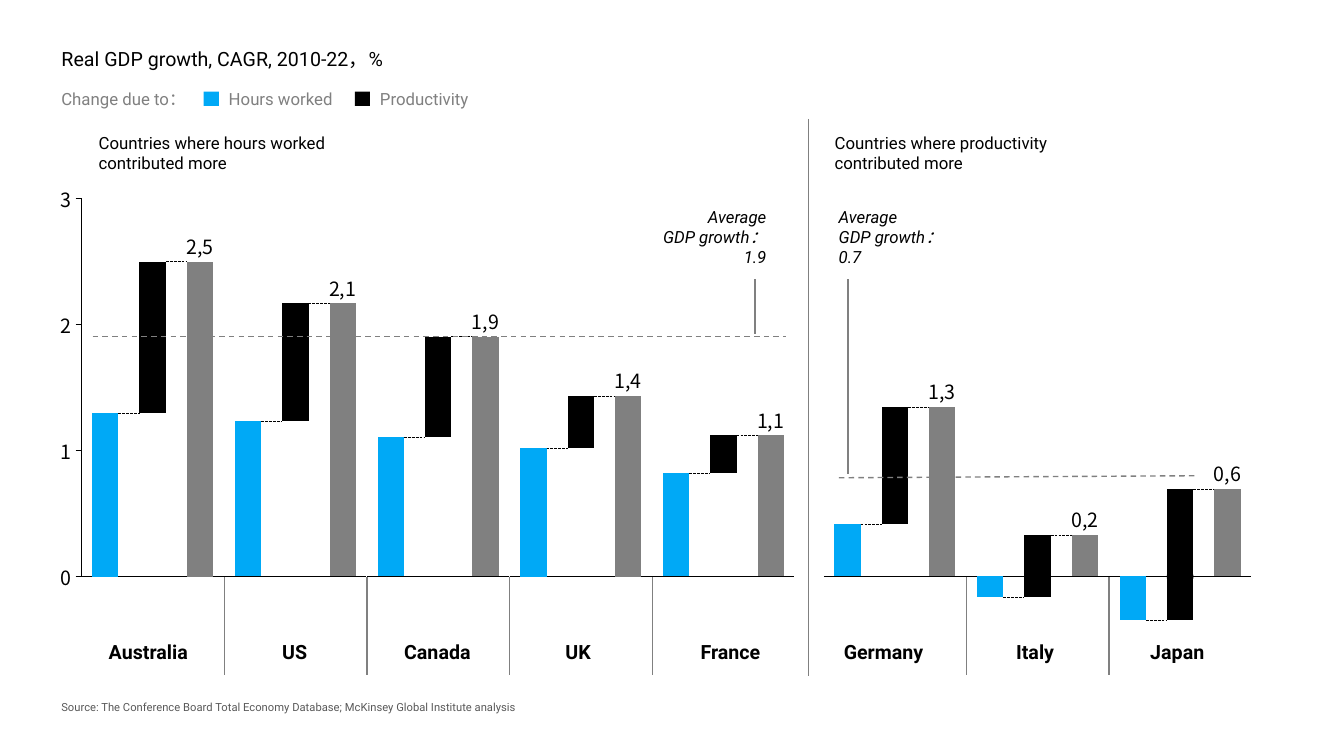
from dataclasses import dataclass
from lxml import etree
from pptx import Presentation
from pptx.chart.data import CategoryChartData
from pptx.dml.color import RGBColor
from pptx.enum.chart import XL_CHART_TYPE, XL_TICK_LABEL_POSITION, XL_TICK_MARK
from pptx.enum.dml import MSO_LINE
from pptx.enum.shapes import MSO_CONNECTOR, MSO_SHAPE
from pptx.enum.text import MSO_ANCHOR, MSO_AUTO_SIZE, PP_ALIGN
from pptx.oxml import parse_xml
from pptx.oxml.ns import nsdecls, qn
from pptx.util import Inches, Pt


@dataclass(frozen=True)
class Theme:
    black: RGBColor = RGBColor(0, 0, 0)
    gray: RGBColor = RGBColor(0x80, 0x80, 0x80)
    source: RGBColor = RGBColor(0x59, 0x59, 0x59)
    blue: RGBColor = RGBColor(0x00, 0xA9, 0xF6)
    font: str = "Roboto"
    chart_font: str = "Noto Sans CJK SC"
    large: int = 14
    medium: int = 12
    chart_size: int = 10
    small: int = 8


T = Theme()
prs = Presentation()
prs.slide_width, prs.slide_height = Inches(13.33), Inches(7.5)
s = prs.slides.add_slide(prs.slide_layouts[5])


def add_text(text, x, y, w, h, *, sp=None, size=T.medium, color=T.black, font=T.font,
             bold=False, italic=False, align=PP_ALIGN.LEFT, bar_label=False):
    if sp is None:
        sp = s.shapes.add_textbox(0, 0, 0, 0)
    sp.left, sp.top, sp.width, sp.height = Inches(x), Inches(y), Inches(w), Inches(h)
    tf = sp.text_frame
    tf.text = text
    tf.word_wrap = False
    tf.auto_size = MSO_AUTO_SIZE.SHAPE_TO_FIT_TEXT
    tf.vertical_anchor = MSO_ANCHOR.TOP
    if bar_label:
        tf.auto_size = MSO_AUTO_SIZE.NONE
        tf.vertical_anchor = MSO_ANCHOR.BOTTOM
        tf.margin_left = tf.margin_right = Inches(0.03)
        tf.margin_top = tf.margin_bottom = 0
    for p in tf.paragraphs:
        p.alignment = align
        if bar_label:
            p.line_spacing = 0.9
        for r in p.runs:
            r.font.name, r.font.size = font, Pt(size)
            r.font.bold, r.font.italic = bold, italic
            r.font.color.rgb = color


def add_line(x1, y1, x2, y2, color=T.gray, width=1, dash=None):
    line = s.shapes.add_connector(MSO_CONNECTOR.STRAIGHT, Inches(x1), Inches(y1),
                                  Inches(x2), Inches(y2))
    line.line.color.rgb = color
    line.line.width = Pt(width)
    if dash:
        line.line.dash_style = dash
    etree.SubElement(line.element.spPr, qn("a:effectLst"))


# Title and legend
add_text("Real GDP growth, CAGR, 2010-22，%", 0.51, 0.42, 3.63, 0.34,
         sp=s.shapes.title, size=T.large)
add_text("Change due to：", 0.51, 0.83, 1.51, 0.3, color=T.gray)
boxes = []
for name, x, w, color in [("Hours worked", 2.02, 1.29, T.blue),
                          ("Productivity", 3.52, 1.12, T.black)]:
    boxes.append((x, 0.91, 0.15, 0.14, color))
    add_text(name, x + 0.15, 0.83, w, 0.3, color=T.gray)

# Country charts: name, name left and width, plot left and top, axis range,
# first series, productivity step, label
PITCH, PLOT_W, ZERO_Y = 1.415, 1.41, 5.72
LEFT, RIGHT = 0.81, 8.17
SLOT = PLOT_W / 3
BAR_W = SLOT / 1.8
countries = [
    ("Australia", 0.98, 1.05, LEFT, 1.97, 0, 3, (1.3, 1.3, 2.5), 1.2, "2,5"),
    ("US", 2.70, 0.47, LEFT + PITCH, 3.01, 0, 100, (57, 57, 100), 43, "2,1"),
    ("Canada", 3.91, 0.91, LEFT + 2 * PITCH, 3.34, 0, 100, (58, 58, 100), 42, "1,9"),
    ("UK", 5.51, 0.50, LEFT + 3 * PITCH, 3.93, 0, 100, (71, 71, 100), 29, "1,4"),
    ("France", 6.85, 0.84, LEFT + 4 * PITCH, 4.32, 0, 100, (73, 73, 100), 27, "1,1"),
    ("Germany", 8.27, 1.05, RIGHT, 4.04, 0, 100, (31, 31, 100), 69, "1,3"),
    ("Italy", 9.98, 0.62, RIGHT + PITCH, 5.31, -50, 100, (-50, 100, 100), -50, "0,2"),
    ("Japan", 11.31, 0.77, RIGHT + 2 * PITCH, 4.85, -50, 100, (-50, 100, 100), -50, "0,6"),
]
for name, name_x, name_w, x, top, low, high, levels, step, label in countries:
    has_axis, negative = name == "Australia", low < 0
    plot_h = (ZERO_Y - top) * (high - low) / high
    pad_l, pad_r, pad_y = (0.43, 0.09, 0.225) if has_axis else (0.09, 0.09, 0.09)
    w, h = PLOT_W + pad_l + pad_r, plot_h + 2 * pad_y

    data = CategoryChartData()
    data.categories = ["1", "2", "3"]
    data.add_series("Series 1", levels)
    data.add_series("Series 2", (None, step, None))
    chart = s.shapes.add_chart(XL_CHART_TYPE.COLUMN_STACKED, Inches(x - pad_l),
                               Inches(top - pad_y), Inches(w), Inches(h), data).chart
    chart.has_legend = chart.has_title = False
    chart.font.name, chart.font.size = T.chart_font, Pt(T.chart_size)
    chart.font.color.rgb = T.black
    plot = chart.plots[0]
    plot.gap_width, plot.overlap, plot.vary_by_categories = 80, 100, False

    base, productivity = plot.series
    base.invert_if_negative = productivity.invert_if_negative = False
    base.format.fill.background()
    productivity.format.fill.solid()
    productivity.format.fill.fore_color.rgb = T.black
    for i, color in enumerate((T.blue, T.black if negative else None, T.gray)):
        if color is not None:
            fill = base.points[i].format.fill
            fill.solid()
            fill.fore_color.rgb = color

    cat, val = chart.category_axis, chart.value_axis
    cat.tick_label_position = XL_TICK_LABEL_POSITION.NONE
    cat.major_tick_mark = XL_TICK_MARK.NONE
    val.has_major_gridlines = False
    val.minimum_scale, val.maximum_scale = low, high
    val.visible = has_axis
    for axis in (cat, val) if has_axis else (cat,):
        axis.format.line.color.rgb = T.black
        axis.format.line.width = Pt(0.75)
    if has_axis:
        val.major_unit = 1
        val.major_tick_mark = XL_TICK_MARK.OUTSIDE
        val.tick_labels.number_format = '#,##0;"-"#,##0'
        val.tick_labels.number_format_is_linked = False
        val.tick_labels.font.name = T.chart_font
        val.tick_labels.font.size = Pt(T.large)
        val.tick_labels.font.color.rgb = T.black

    # Fixed inner plot area
    area = chart.element.xpath("c:chart/c:plotArea")[0]
    for old in area.findall(qn("c:layout")):
        area.remove(old)
    sizes = {"x": pad_l / w, "y": pad_y / h, "w": PLOT_W / w, "h": plot_h / h}
    modes = "".join(f'<c:{m}Mode val="edge"/>' for m in "xy")
    values = "".join(f'<c:{k} val="{v:.4f}"/>' for k, v in sizes.items())
    area.insert(0, parse_xml(
        f'<c:layout {nsdecls("c")}><c:manualLayout><c:layoutTarget val="inner"/>'
        f'{modes}{values}</c:manualLayout></c:layout>'))

    # Links between bars, total and country name
    for i, level in enumerate((levels[0], levels[2])):
        y = top + plot_h * (high - level) / (high - low)
        start = x + SLOT * (i + 0.5) + BAR_W / 2
        add_line(start, y, start + SLOT - BAR_W, y, T.black, 0.25, MSO_LINE.LONG_DASH)
    add_text(label, x + 2.5 * SLOT - 0.15, y - 0.24, 0.3, 0.21, size=T.large,
             font=T.chart_font, align=PP_ALIGN.CENTER, bar_label=True)
    add_text(name, name_x, 6.3, name_w, 0.34, size=T.large, bold=True)
    if negative:
        boxes.append((x + 1.5 * SLOT - BAR_W / 2, 5.7, BAR_W, 0.04, T.black))
    if name not in ("France", "Japan"):
        add_line(x + PITCH, 5.72, x + PITCH, 6.7)

# Legend keys and bar sections over the zero line
for x, y, w, h, color in boxes:
    sp = s.shapes.add_shape(MSO_SHAPE.RECTANGLE, Inches(x), Inches(y), Inches(w), Inches(h))
    sp.shadow.inherit = False
    sp.fill.solid()
    sp.fill.fore_color.rgb = color
    sp.line.fill.background()

# Group headings and divider
add_line(8.02, 1.18, 8.02, 6.71)
for driver, x, w in [("hours worked", 0.88, 2.57), ("productivity", 8.18, 2.44)]:
    add_text(f"Countries where {driver}\ncontributed more", x, 1.27, w, 0.5)

# Average growth: text left, alignment, pointer x and end, dashed line
for value, x, align, px, py, dashed in [
        ("1.9", 6.39, PP_ALIGN.RIGHT, 7.49, 3.31, (0.92, 3.34, 7.8, 3.34)),
        ("0.7", 8.22, PP_ALIGN.LEFT, 8.41, 4.7, (8.32, 4.74, 11.85, 4.72))]:
    add_line(*dashed, dash=MSO_LINE.DASH)
    add_line(px, 2.77, px, py)
    add_text(f"Average\nGDP growth：\n{value}", x, 2, 1.31, 0.71, italic=True, align=align)

# Source
add_text("Source: The Conference Board Total Economy Database; McKinsey Global Institute analysis",
         0.51, 6.9, 4.77, 0.24, size=T.small, color=T.source)

prs.save("out.pptx")
